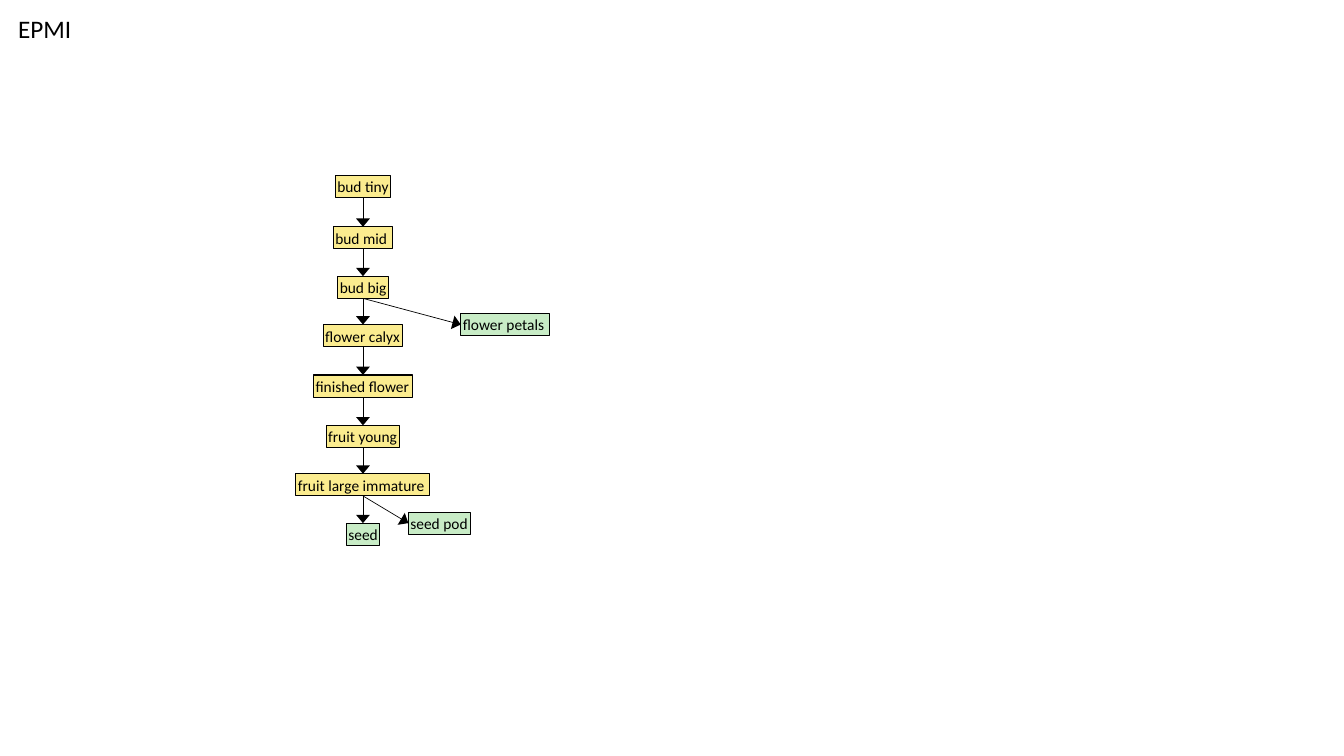
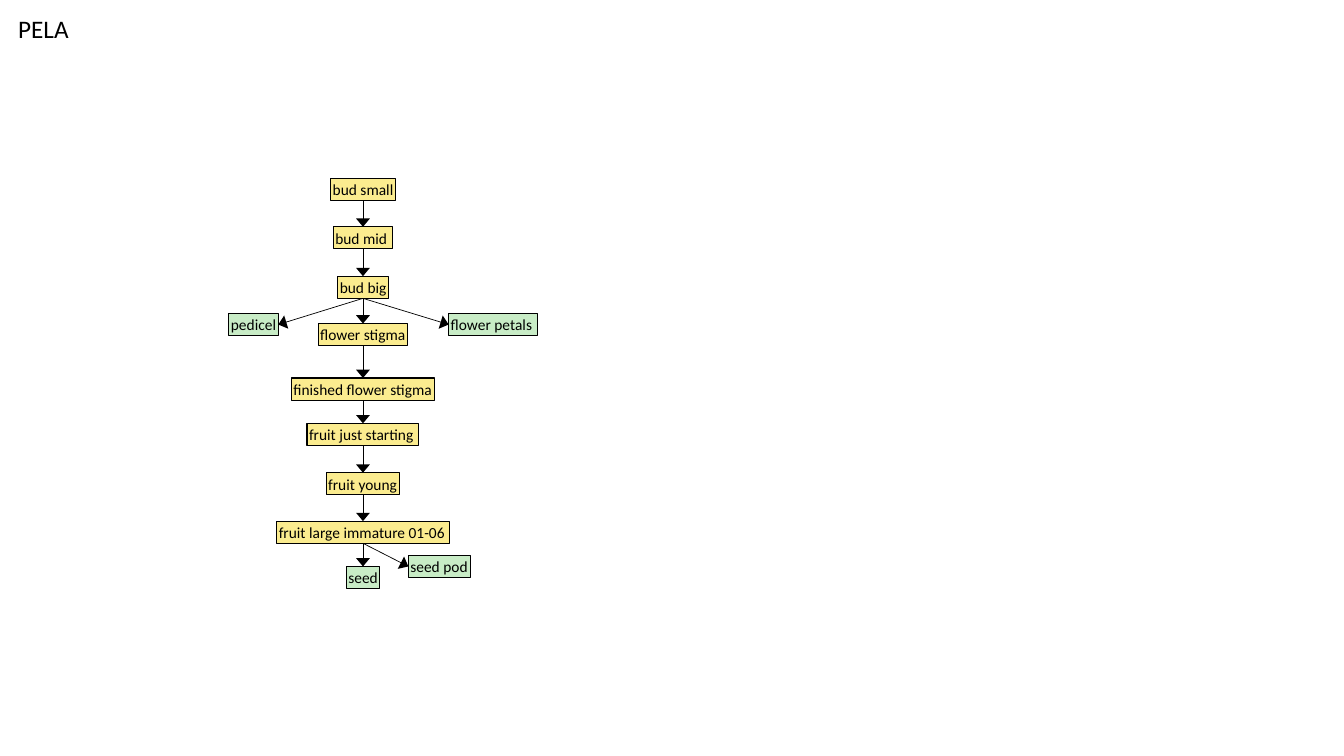
from collections import namedtuple

from lxml.etree import SubElement
from pptx import Presentation
from pptx.dml.color import RGBColor
from pptx.enum.shapes import MSO_CONNECTOR as Link, MSO_SHAPE as Shape
from pptx.enum.text import MSO_ANCHOR as Anchor, MSO_AUTO_SIZE as Fit, PP_ALIGN as Align
from pptx.oxml.ns import qn
from pptx.util import Inches, Pt

BLACK = RGBColor(0x00, 0x00, 0x00)
YELLOW = RGBColor(0xFB, 0xEC, 0x8F)
GREEN = RGBColor(0xC8, 0xEC, 0xC6)
FONT = "Calibri"
WIDE, HIGH = 13.33, 7.5
ROW = 0.22  # height of every stage
TOP, LEFT, BOTTOM, RIGHT = range(4)  # connection sites of a rectangle

Box = namedtuple("Box", "left top width height")
# drop: from the top of the chart to the top of the stage
Stage = namedtuple("Stage", "text drop width fill", defaults=[YELLOW])
# shift: from the axis to the near edge, negative to the left
Branch = namedtuple("Branch", "parent text drop width shift")


def write(shape, text, size):
    """Put left-aligned black text in a shape that fits it."""
    frame = shape.text_frame
    frame.text = text
    frame.word_wrap = False
    frame.auto_size = Fit.SHAPE_TO_FIT_TEXT
    frame.vertical_anchor = Anchor.TOP
    line = frame.paragraphs[0]
    line.alignment = Align.LEFT
    line.font.name, line.font.size = FONT, Pt(size)
    line.font.color.rgb = BLACK
    return frame


def head(slide, text, box):
    """Place the title in the box."""
    title = slide.shapes.title
    title.left, title.top, title.width, title.height = map(Inches, box)
    write(title, text, 18)


def node(slide, text, fill, box):
    """Draw one outlined stage in the box."""
    shape = slide.shapes.add_shape(Shape.RECTANGLE, *map(Inches, box))
    shape.shadow.inherit = False
    shape.fill.solid()
    shape.fill.fore_color.rgb = fill
    shape.line.color.rgb = BLACK
    shape.line.width = Pt(0.75)
    frame = write(shape, text, 11)
    frame.margin_left = frame.margin_top = frame.margin_bottom = Inches(0.02)
    frame.margin_right = 0  # spare room keeps tight labels on one line
    return shape


def arrow(slide, start, end, site):
    """Join the bottom of one stage to a site of another."""
    link = slide.shapes.add_connector(Link.STRAIGHT, 0, 0, 0, 0)
    link.begin_connect(start, BOTTOM)
    link.end_connect(end, site)
    link.line.color.rgb = BLACK
    link.line.width = Pt(0.5)
    line = link._element.spPr.find(qn("a:ln"))
    SubElement(line, qn("a:tailEnd"), type="triangle", w="lg", len="med")
    SubElement(link._element.spPr, qn("a:effectLst"))


def chain(slide, stages, branches, box):
    """Draw stages down the middle of the box, with branches beside."""
    axis = box.left + box.width / 2
    nodes = []
    for text, drop, width, fill in stages:
        spot = Box(axis - width / 2, box.top + drop, width, ROW)
        nodes.append(node(slide, text, fill, spot))
    for start, end in zip(nodes, nodes[1:]):
        arrow(slide, start, end, TOP)

    for parent, text, drop, width, shift in branches:
        left = axis + shift - (width if shift < 0 else 0)
        side = node(slide, text, GREEN, Box(left, box.top + drop, width, ROW))
        arrow(slide, nodes[parent], side, RIGHT if shift < 0 else LEFT)


def page(deck, title, stages, branches, top):
    """Add a slide with a title and its chain of stages."""
    slide = deck.slides.add_slide(deck.slide_layouts[5])
    head(slide, title, Box(0.08, 0.08, 0.73, 0.4))
    last = stages[-1]
    chain(slide, stages, branches, Box(1.75, top, 3.7, last.drop + ROW))


deck = Presentation()
deck.slide_width, deck.slide_height = Inches(WIDE), Inches(HIGH)

page(deck, "EPMI", [
    Stage("bud tiny", 0, 0.55),
    Stage("bud mid ", 0.51, 0.59),
    Stage("bud big", 1, 0.5),
    Stage("flower calyx", 1.48, 0.79),
    Stage("finished flower", 1.98, 0.98),
    Stage("fruit young", 2.48, 0.73),
    Stage("fruit large immature", 2.96, 1.33),
    Stage("seed", 3.45, 0.33, GREEN),
], [
    Branch(2, "flower petals", 1.37, 0.88, 0.97),
    Branch(6, "seed pod", 3.34, 0.62, 0.45),
], 1.74)

page(deck, "PELA", [
    Stage("bud small", 0, 0.64),
    Stage("bud mid ", 0.48, 0.59),
    Stage("bud big", 0.97, 0.5),
    Stage("flower stigma", 1.44, 0.89),
    Stage("finished flower stigma", 1.98, 1.42),
    Stage("fruit just starting", 2.43, 1.11),
    Stage("fruit young", 2.92, 0.73),
    Stage("fruit large immature 01-06", 3.4, 1.71),
    Stage("seed", 3.85, 0.33, GREEN),
], [
    Branch(2, "pedicel", 1.34, 0.49, -0.84),
    Branch(2, "flower petals", 1.34, 0.88, 0.85),
    Branch(7, "seed pod", 3.74, 0.62, 0.45),
], 1.77)

deck.save("out.pptx")
